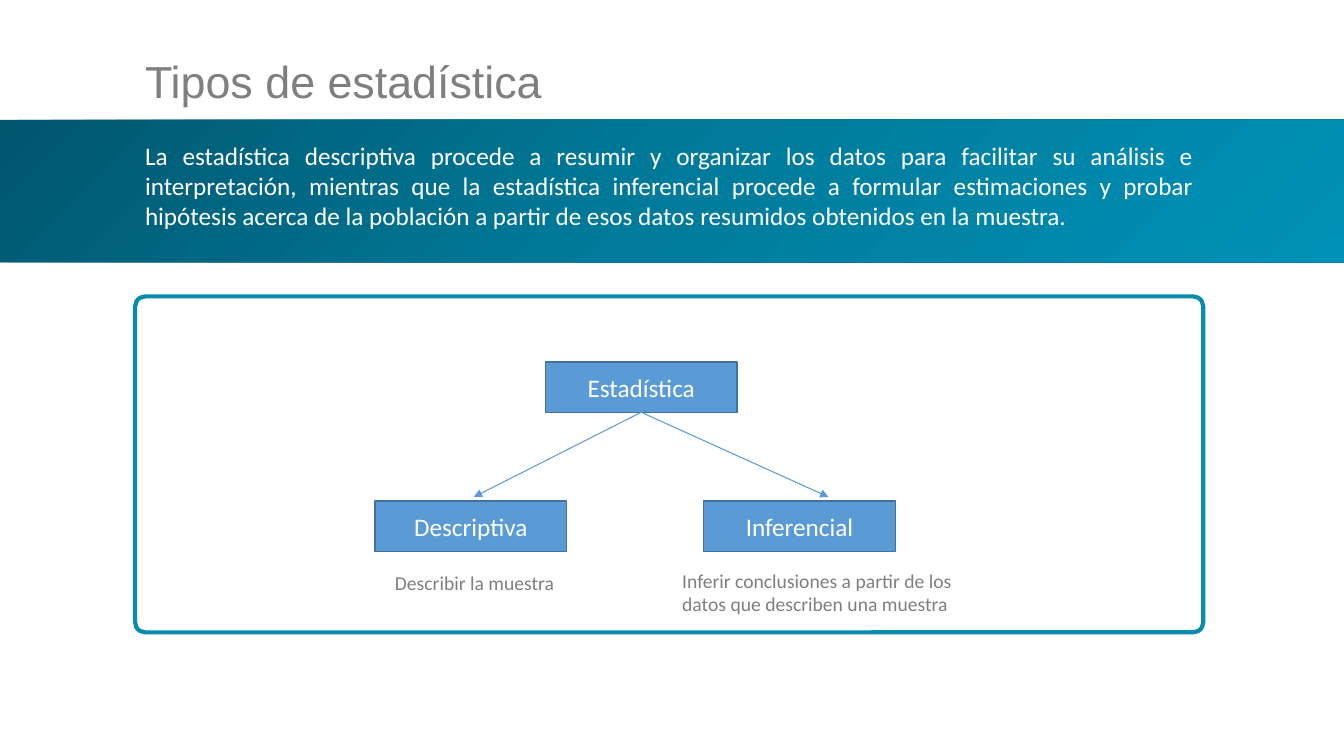
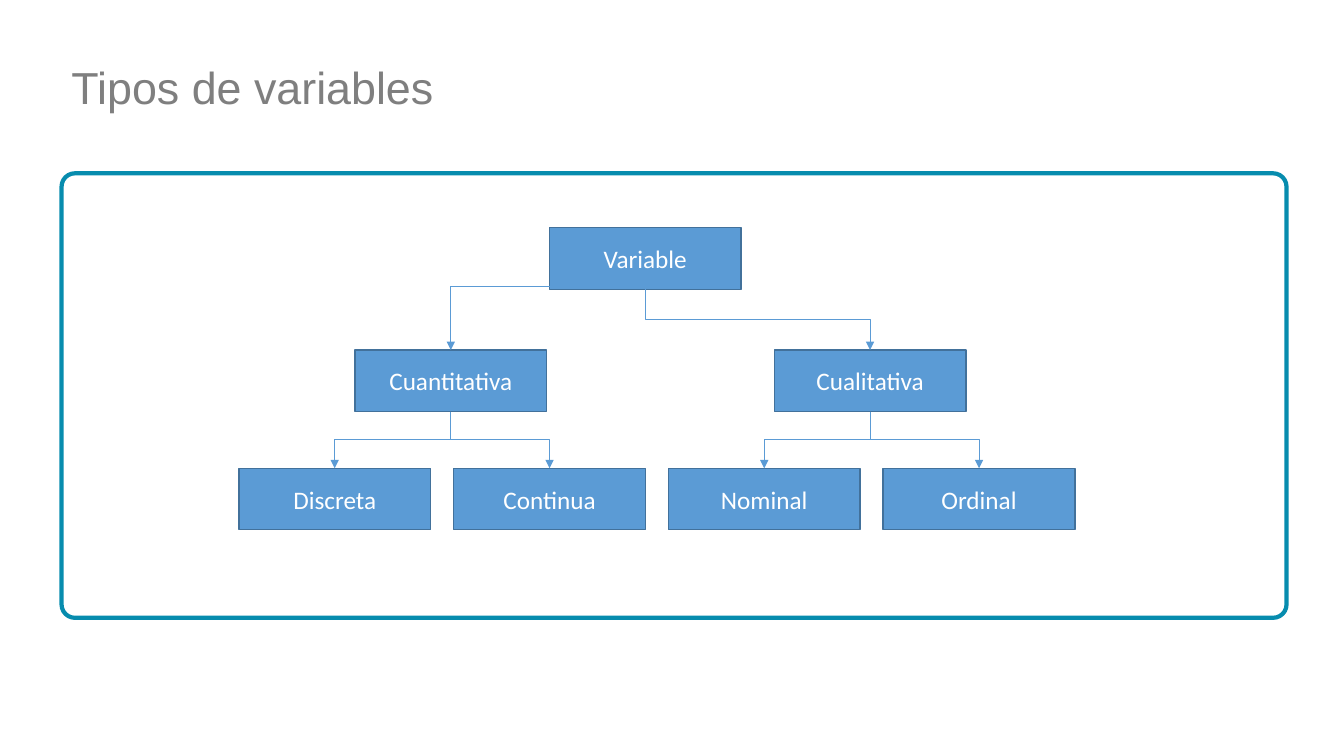
"""Builds two slides on the types of statistics and the types of variables."""
from copy import deepcopy

from pptx import Presentation
from pptx.dml.color import RGBColor
from pptx.enum.shapes import MSO_CONNECTOR as Link, MSO_SHAPE as Shape
from pptx.enum.text import MSO_ANCHOR as Anchor, PP_ALIGN as Align
from pptx.oxml.ns import qn
from pptx.oxml.xmlchemy import OxmlElement
from pptx.util import Pt

WHITE = RGBColor(0xFF, 0xFF, 0xFF)
GRAY = RGBColor(0x7F, 0x7F, 0x7F)
TEAL = RGBColor(0x07, 0x8C, 0xAE)
BLUE = RGBColor(0x5B, 0x9B, 0xD5)
BLUE_EDGE = RGBColor(0x42, 0x71, 0x9B)
BAND_STOPS = [
    (0, RGBColor(0x00, 0x54, 0x6B)),
    (0.5, RGBColor(0x00, 0x7B, 0x9B)),
    (1, RGBColor(0x00, 0x93, 0xBA)),
]
BOX_WIDTH = 137

STATISTICS_TITLE = "Tipos de estadística"
STATISTICS_INTRO = (
    "La estadística descriptiva procede a resumir y organizar los datos para facilitar "
    "su análisis e interpretación, mientras que la estadística inferencial procede a "
    "formular estimaciones y probar hipótesis acerca de la población a partir de esos "
    "datos resumidos obtenidos en la muestra."
)
STATISTICS_ROOT = "Estadística"
BRANCHES = [
    ("Descriptiva", 267.8, 338.4, "Describir la muestra", (275, 404.6, 130, 24.5)),
    ("Inferencial", 502.6, 591.8,
     "Inferir conclusiones a partir de los datos que describen una muestra",
     (480.2, 402.5, 208, 41)),
]

VARIABLES_TITLE = "Tipos de variables"
VARIABLES_ROOT = "Variable"
KINDS = [
    ("Cuantitativa", 253.5, -0.048, ["Discreta", "Continua"]),
    ("Cualitativa", 553, 0.5, ["Nominal", "Ordinal"]),
]


def style_text(shape, text, size, color, font="Calibri", align=Align.LEFT,
               anchor=Anchor.TOP, spacing=1.0):
    frame = shape.text_frame
    frame.word_wrap = True
    frame.vertical_anchor = anchor
    paragraph = frame.paragraphs[0]
    paragraph.text = text
    paragraph.alignment = align
    paragraph.line_spacing = spacing
    paragraph.font.name = font
    paragraph.font.size = Pt(size)
    paragraph.font.color.rgb = color


def add_text(slide, area, text, size, color, **style):
    style_text(slide.shapes.add_textbox(*map(Pt, area)), text, size, color, **style)


def add_title(slide, area, text, spacing):
    add_text(slide, area, text, 32, GRAY, font="Arial", anchor=Anchor.MIDDLE,
             spacing=spacing)


def add_rounded(slide, area):
    rounded = slide.shapes.add_shape(Shape.ROUNDED_RECTANGLE, *map(Pt, area))
    rounded.adjustments[0] = 0.03
    rounded.shadow.inherit = False
    return rounded


def add_band(slide, area):
    band = add_rounded(slide, area)
    band.line.fill.background()
    band.fill.gradient()
    band.fill.gradient_angle = 315
    stop_list = band._element.spPr.find(".//" + qn("a:gsLst"))
    stop_list.append(deepcopy(stop_list[-1]))
    for stop, (position, color) in zip(band.fill.gradient_stops, BAND_STOPS):
        stop.position = position
        stop.color.rgb = color


def add_panel(slide, area):
    panel = add_rounded(slide, area)
    panel.fill.solid()
    panel.fill.fore_color.rgb = WHITE
    panel.line.color.rgb = TEAL
    panel.line.width = Pt(3)


def add_box(slide, left, top, height, label):
    box = slide.shapes.add_shape(Shape.RECTANGLE, *map(Pt, (left, top, BOX_WIDTH, height)))
    box.shadow.inherit = False
    box.fill.solid()
    box.fill.fore_color.rgb = BLUE
    box.line.color.rgb = BLUE_EDGE
    box.line.width = Pt(1)
    style_text(box, label, 18, WHITE, align=Align.CENTER, anchor=Anchor.MIDDLE)
    return box


def bottom_center(box):
    return box.left + box.width // 2, box.top + box.height


def add_arrow(slide, kind, start, end):
    arrow = slide.shapes.add_connector(kind, *start, *end)
    arrow.line.color.rgb = BLUE
    arrow.line.width = Pt(0.75)
    head = OxmlElement("a:tailEnd")
    head.set("type", "triangle")
    arrow.line._get_or_add_ln().append(head)
    arrow._element.spPr.append(OxmlElement("a:effectLst"))
    return arrow


def add_elbow(slide, parent, child, bend=0.5):
    start = start_x, start_y = bottom_center(parent)
    end = end_x, end_y = child.left + child.width // 2, child.top
    elbow = add_arrow(slide, Link.ELBOW, start, end)
    elbow.begin_connect(parent, 2)
    elbow.end_connect(child, 0)
    run, drop = abs(end_x - start_x), end_y - start_y
    elbow.left, elbow.top = (start_x + end_x - drop) // 2, (start_y + end_y - run) // 2
    elbow.width, elbow.height = drop, run
    frame = elbow._element.spPr.get_or_add_xfrm()
    frame.flipH = end_x > start_x
    frame.rot = 270 if end_x > start_x else 90
    geometry = elbow._element.spPr.find(qn("a:prstGeom"))
    guide = OxmlElement("a:gd")
    guide.set("name", "adj1")
    guide.set("fmla", f"val {round(bend * 100000)}")
    geometry.get_or_add_avLst().append(guide)


def build_statistics(slide):
    left, width, box_height = 96.5, 763, 36
    add_band(slide, (-35, 85.7, 1041, 101.5))
    add_title(slide, (left, 8.6, width, 79), STATISTICS_TITLE, 1.5)
    add_text(slide, (left, 96.5, width, 73), STATISTICS_INTRO, 18, WHITE,
             align=Align.JUSTIFY)
    add_panel(slide, (left, 211.7, width, 240))
    root = add_box(slide, 389.5, 258.5, box_height, STATISTICS_ROOT)
    for label, box_left, tip, caption, caption_area in BRANCHES:
        add_box(slide, box_left, 358, box_height, label)
        add_text(slide, caption_area, caption, 14, GRAY)
        add_arrow(slide, Link.STRAIGHT, bottom_center(root), (Pt(tip), Pt(355)))


def build_variables(slide):
    left, width, box_height = 44, 875, 44
    leaf_left, leaf_step = 170.6, 153.4
    add_title(slide, (left, 25, width, 79), VARIABLES_TITLE, 0.9)
    add_panel(slide, (left, 123.8, width, 317.5))
    root = add_box(slide, 392.4, 162.7, box_height, VARIABLES_ROOT)
    for row, (label, kind_left, bend, leaves) in enumerate(KINDS):
        kind = add_box(slide, kind_left, 250, box_height, label)
        add_elbow(slide, root, kind, bend)
        for column, leaf_label in enumerate(leaves, row * len(leaves)):
            leaf = add_box(slide, leaf_left + column * leaf_step, 334.5, box_height,
                           leaf_label)
            add_elbow(slide, kind, leaf)


def main():
    deck = Presentation()
    deck.slide_width, deck.slide_height = Pt(960), Pt(540)
    for build in (build_statistics, build_variables):
        build(deck.slides.add_slide(deck.slide_layouts[6]))
    deck.save("out.pptx")


if __name__ == "__main__":
    main()
